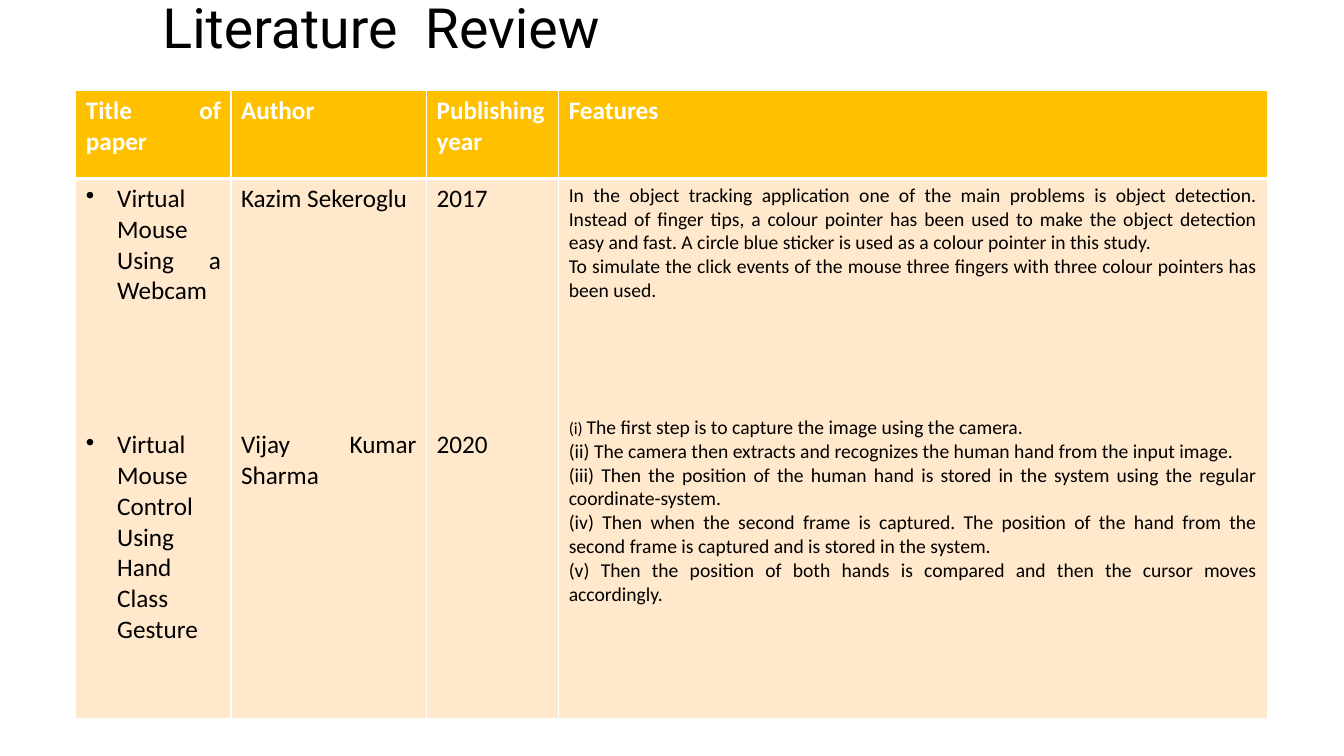
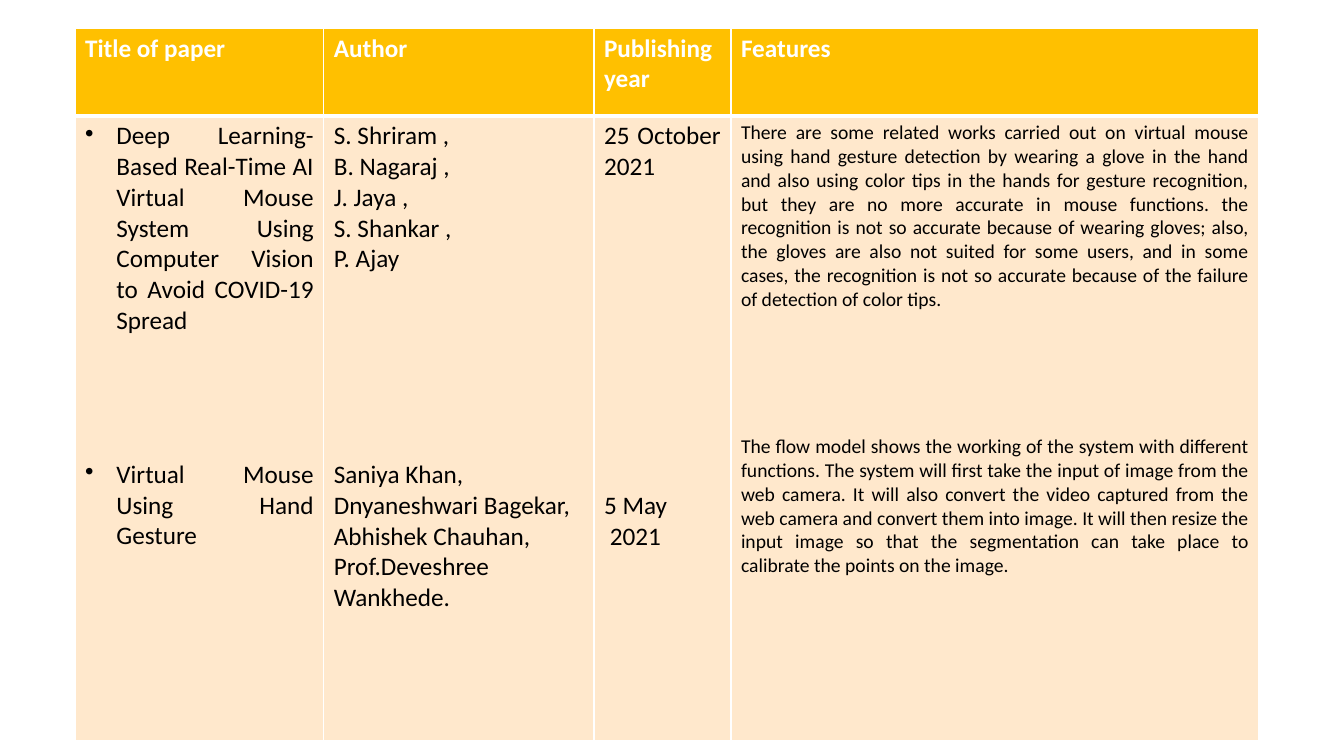
from pptx import Presentation
from pptx import util as u
from pptx.dml.color import RGBColor
from pptx.enum import text
from pptx.oxml import parse_xml
from pptx.oxml.ns import nsdecls

COLORS = {"header": "FFC000", "body": "FFE8CC", "border": "FFFFFF",
          "light": "FFFFFF", "dark": "000000"}
HEADINGS = ["Title of paper", "Author", "Publishing year", "Features"]
BODY_SIZES = [18, 18, 18, 14]


def style_cell(cell, fill, top, bottom):
    properties = cell._tc.get_or_add_tcPr()
    for side, width in (("L", 1), ("R", 1), ("T", top), ("B", bottom)):
        properties.append(parse_xml(
            f'<a:ln{side} {nsdecls("a")} w="{u.Pt(width)}"><a:solidFill>'
            f'<a:srgbClr val="{COLORS["border"]}"/></a:solidFill></a:ln{side}>'))
    cell.fill.solid()
    cell.fill.fore_color.rgb = RGBColor.from_string(COLORS[fill])


def write_paragraph(paragraph, content, size, color, bold=False, bullet=False):
    paragraph.alignment = text.PP_ALIGN.JUSTIFY
    paragraph.font.name = "Calibri"
    paragraph.font.size = u.Pt(size)
    paragraph.font.bold = bold
    paragraph.font.color.rgb = RGBColor.from_string(COLORS[color])
    if content.startswith("(i) "):
        number = paragraph.add_run()
        number.text = "(i) "
        number.font.size = u.Pt(12)
        content = content[4:]
    paragraph.add_run().text = content
    if bullet:
        properties = paragraph._p.get_or_add_pPr()
        properties.set("marL", str(u.Cm(0.79)))
        properties.set("indent", str(-u.Cm(0.79)))
        properties.insert_element_before(
            parse_xml(f'<a:buChar {nsdecls("a")} char="•"/>'),
            "a:tabLst", "a:defRPr", "a:extLst")


REVIEWS = [
    {
        "title": "Literature  Review",
        "left": 1.91, "top": 2.29,
        "columns": [3.91, 4.93, 3.33, 17.86], "rows": [2.21, 13.61],
        "gaps": [88, 154, 154, 80.6],
        "papers": [
            [
                ["Virtual Mouse Using a Webcam"],
                ["Kazim Sekeroglu"],
                ["2017"],
                ["In the object tracking application one of the main problems is object "
                 "detection. Instead of finger tips, a colour pointer has been used to make "
                 "the object detection easy and fast. A circle blue sticker is used as a "
                 "colour pointer in this study.",
                 "To simulate the click events of the mouse three fingers with three colour "
                 "pointers has been used."],
            ],
            [
                ["Virtual Mouse Control Using Hand Class Gesture"],
                ["Vijay Kumar Sharma"],
                ["2020"],
                ["(i) The first step is to capture the image using the camera.",
                 "(ii) The camera then extracts and recognizes the human hand from the "
                 "input image.",
                 "(iii) Then the position of the human hand is stored in the system using "
                 "the regular coordinate-system.",
                 "(iv) Then when the second frame is captured. The position of the hand "
                 "from the second frame is captured and is stored in the system.",
                 "(v) Then the position of both hands is compared and then the cursor "
                 "moves accordingly."],
            ],
        ],
    },
    {
        "title": None,
        "left": 1.89, "top": 0.71,
        "columns": [6.27, 6.81, 3.45, 13.31], "rows": [2.21, 15.75],
        "gaps": [88, 132, 220, 88],
        "papers": [
            [
                ["Deep Learning-Based Real-Time AI Virtual Mouse System Using Computer "
                 "Vision to Avoid COVID-19 Spread"],
                ["S. Shriram ,", "B. Nagaraj ,", "J. Jaya ,", "S. Shankar ,", "P. Ajay"],
                ["25 October 2021"],
                ["There are some related works carried out on virtual mouse using hand "
                 "gesture detection by wearing a glove in the hand and also using color tips "
                 "in the hands for gesture recognition, but they are no more accurate in "
                 "mouse functions. the recognition is not so accurate because of wearing "
                 "gloves; also, the gloves are also not suited for some users, and in some "
                 "cases, the recognition is not so accurate because of the failure of "
                 "detection of color tips."],
            ],
            [
                ["Virtual Mouse Using Hand Gesture"],
                ["Saniya Khan,", "Dnyaneshwari Bagekar,", "Abhishek Chauhan,",
                 "Prof.Deveshree Wankhede."],
                ["5 May", " 2021"],
                ["The flow model shows the working of the system with different functions. "
                 "The system will first take the input of image from the web camera. It will "
                 "also convert the video captured from the web camera and convert them into "
                 "image. It will then resize the input image so that the segmentation can "
                 "take place to calibrate the points on the image."],
            ],
        ],
    },
]

presentation = Presentation()
presentation.slide_width = u.Cm(33.87)
presentation.slide_height = u.Cm(19.05)

for review in REVIEWS:
    layout = presentation.slide_layouts[5 if review["title"] else 6]
    slide = presentation.slides.add_slide(layout)

    if review["title"]:
        title = slide.shapes.title
        title.left, title.top = u.Cm(3.84), u.Cm(-0.03)
        title.width, title.height = u.Cm(23.57), u.Cm(1.6)
        title.text_frame.text = review["title"]
        title.text_frame.auto_size = text.MSO_AUTO_SIZE.NONE
        title.text_frame.vertical_anchor = text.MSO_ANCHOR.MIDDLE
        paragraph = title.text_frame.paragraphs[0]
        paragraph.alignment = text.PP_ALIGN.LEFT
        paragraph.line_spacing = 0.9
        paragraph.font.name = "Roboto"
        paragraph.font.size = u.Pt(39.6)
        paragraph.font.color.rgb = RGBColor.from_string(COLORS["dark"])

    table = slide.shapes.add_table(
        2, len(HEADINGS), u.Cm(review["left"]), u.Cm(review["top"]),
        u.Cm(sum(review["columns"])), u.Cm(sum(review["rows"]))).table
    for row, height in zip(table.rows, review["rows"]):
        row.height = u.Cm(height)

    for index, heading in enumerate(HEADINGS):
        table.columns[index].width = u.Cm(review["columns"][index])
        header, body = table.cell(0, index), table.cell(1, index)
        style_cell(header, "header", 1, 3)
        style_cell(body, "body", 3, 1)
        write_paragraph(header.text_frame.paragraphs[0], heading, 18, "light", bold=True)

        paragraph = body.text_frame.paragraphs[0]
        for number, paper in enumerate(review["papers"]):
            for line, content in enumerate(paper[index]):
                if number or line:
                    paragraph = body.text_frame.add_paragraph()
                if number and not line:
                    paragraph.space_before = u.Pt(review["gaps"][index])
                write_paragraph(paragraph, content, BODY_SIZES[index], "dark",
                                bullet=index == 0)

presentation.save("out.pptx")
